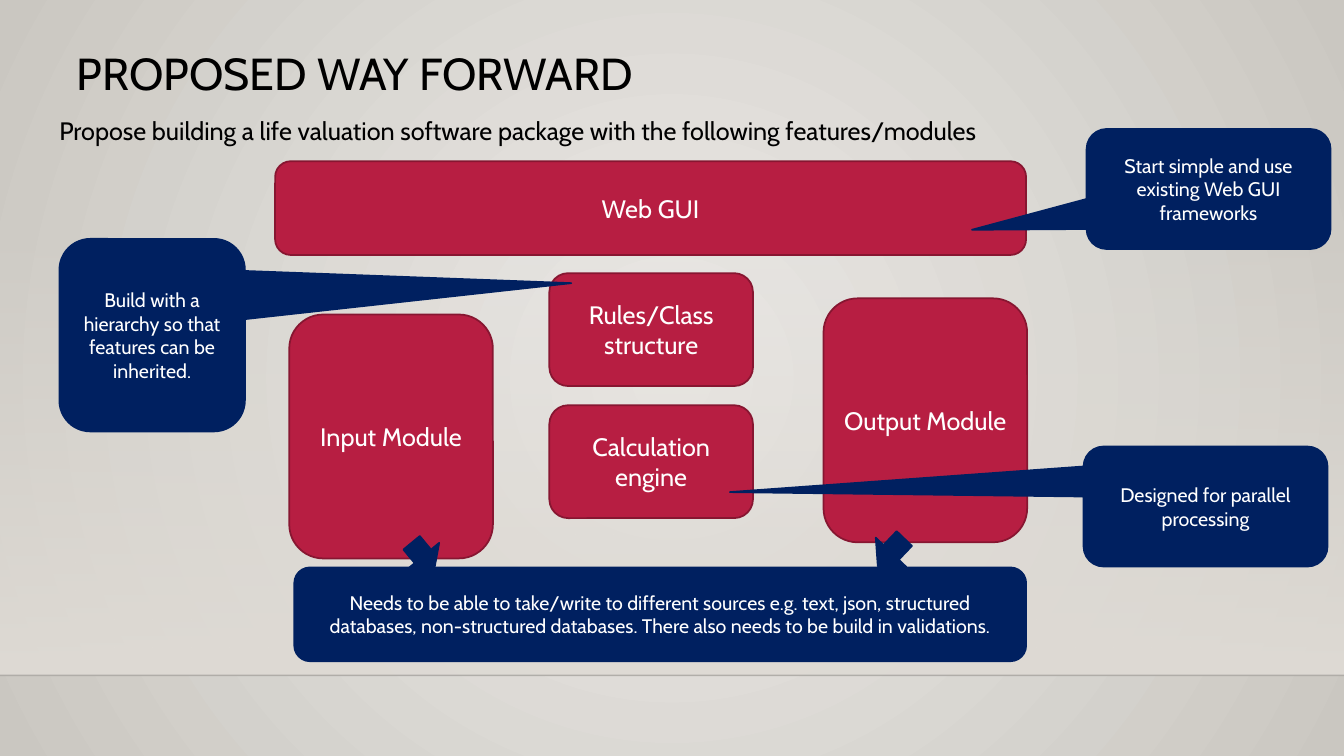
import pptx
import pptx.util
import pptx.dml.color
import pptx.enum.shapes
import pptx.enum.text
import pptx.oxml
import pptx.oxml.ns

RGB = pptx.dml.color.RGBColor
KIND = pptx.enum.shapes.MSO_SHAPE
ALIGN = pptx.enum.text.PP_ALIGN
qn = pptx.oxml.ns.qn

RED = RGB(0xB7, 0x1E, 0x42)
WINE = RGB(0x87, 0x16, 0x31)
NAVY = RGB(0x00, 0x20, 0x60)
WHITE = RGB(0xFF, 0xFF, 0xFF)
BLACK = RGB(0x00, 0x00, 0x00)
PALE = RGB(0xEC, 0xEA, 0xE7)
GREY = RGB(0xCA, 0xC7, 0xC1)
SAND = RGB(0xDF, 0xDB, 0xD5)

FONT = "Cabin"
WIDE = pptx.util.Inches(13.33)
HIGH = pptx.util.Inches(7.5)
COLS, ROWS = 40, 30


def col(n):
    return round(WIDE * n / COLS)


def row(n):
    return round(HIGH * n / ROWS)


def area(x, y, w, h):
    return col(x), row(y), col(w), row(h)


def add_xml(node, tag, **attrs):
    child = pptx.oxml.parse_xml(f"<a:{tag} {pptx.oxml.ns.nsdecls('a')}/>")
    for name, value in attrs.items():
        child.set(name, str(value))
    node.append(child)
    return child


def blend(fill, first, last):
    fill.gradient()
    for stop, tone in zip(fill.gradient_stops, (first, last)):
        stop.color.rgb = tone


def write(frame, text, size, tone, align=ALIGN.LEFT):
    frame.word_wrap = True
    frame.text = text
    para = frame.paragraphs[0]
    para.alignment = align
    font = para.runs[0].font
    font.name, font.size = FONT, pptx.util.Pt(size)
    font.color.rgb = tone


def label(slide, place, text, size):
    box = slide.shapes.add_textbox(*area(*place))
    write(box.text_frame, text, size, BLACK)


def block(slide, kind, place, fill, edge, text="", size=18):
    shape = slide.shapes.add_shape(kind, *area(*place))
    shape.shadow.inherit = False
    shape.fill.solid()
    shape.fill.fore_color.rgb = fill
    shape.line.color.rgb = edge
    shape.line.width = pptx.util.Pt(1.25)
    if text:
        shape.text_frame.vertical_anchor = pptx.enum.text.MSO_ANCHOR.MIDDLE
        write(shape.text_frame, text, size, WHITE, ALIGN.CENTER)
    return shape


def module(slide, place, text):
    block(slide, KIND.ROUNDED_RECTANGLE, place, RED, WINE, text)


def callout(slide, place, tip, text):
    shape = block(slide, KIND.ROUNDED_RECTANGULAR_CALLOUT, place,
                  NAVY, NAVY, text, 14)
    shape.adjustments[0], shape.adjustments[1] = tip


def arrow(slide, place, turn):
    block(slide, KIND.RIGHT_ARROW, place, NAVY, NAVY).rotation = turn


def backdrop(slide):
    # Radial background
    blend(slide.background.fill, PALE, GREY)
    grad = slide._element.find(".//" + qn("a:gradFill"))
    grad.remove(grad.find(qn("a:lin")))
    ring = add_xml(grad, "path", path="circle")
    add_xml(ring, "fillToRect", l=50000, t=50000, r=50000, b=50000)

    # Wall that fades in towards the floor
    wall = slide.shapes.add_shape(KIND.RECTANGLE, *area(0, 8.84, COLS, 17.96))
    wall.shadow.inherit = False
    wall.line.fill.background()
    blend(wall.fill, SAND, SAND)
    wall.fill.gradient_angle = 270
    add_xml(wall._element.find(".//" + qn("a:srgbClr")), "alpha", val=0)

    # Floor line
    edge = slide.shapes.add_connector(
        pptx.enum.shapes.MSO_CONNECTOR.STRAIGHT, 0, row(26.8), WIDE, row(26.8))
    edge.line.color.rgb = BLACK
    edge.line.width = pptx.util.Pt(1)
    add_xml(edge._element.find(".//" + qn("a:srgbClr")), "alpha", val=20000)
    add_xml(edge._element.spPr, "effectLst")


def main():
    deck = pptx.Presentation()
    deck.slide_width, deck.slide_height = WIDE, HIGH
    slide = deck.slides.add_slide(deck.slide_layouts[6])
    backdrop(slide)

    # Headings
    label(slide, (1.98, 1.6, 35.37, 2.56), "PROPOSED WAY FORWARD", 32)
    label(slide, (1.47, 4.36, 29.58, 1.6),
          "Propose building a life valuation software package with the "
          "following features/modules", 18)

    # Modules
    tall, short = (6.06, 9.68), (6.06, 4.48)
    module(slide, (8.61, 12.48, *tall), "Input Module")
    module(slide, (24.51, 11.84, *tall), "Output Module")
    module(slide, (16.35, 16.08, *short), "Calculation engine")
    module(slide, (16.35, 10.84, *short), "Rules/Class structure")
    module(slide, (8.19, 6.4, 22.35, 3.72), "Web GUI")

    # Notes on the modules
    note = (7.26, 4.76)
    callout(slide, (32.34, 5.12, *note), (-0.97, 0.34),
            "Start simple and use existing Web GUI frameworks")
    block(slide, KIND.FLOWCHART_ALTERNATE_PROCESS, (8.76, 22.52, 21.78, 3.72),
          NAVY, NAVY,
          "Needs to be able to take/write to different sources e.g. text, "
          "json, structured databases, non-structured databases. There also "
          "needs to be build in validations.", 14)
    arrow(slide, (12.06, 21.24, 1.05, 1.68), 50.4)
    arrow(slide, (25.95, 21.08, 1.14, 1.68), 133.8)
    callout(slide, (32.25, 17.72, *note), (-1.95, -0.12),
            "Designed for parallel processing")
    callout(slide, (1.77, 9.48, 5.52, 7.64), (2.26, -0.27),
            "Build with a hierarchy so that features can be inherited.")

    deck.save("out.pptx")


if __name__ == "__main__":
    main()
